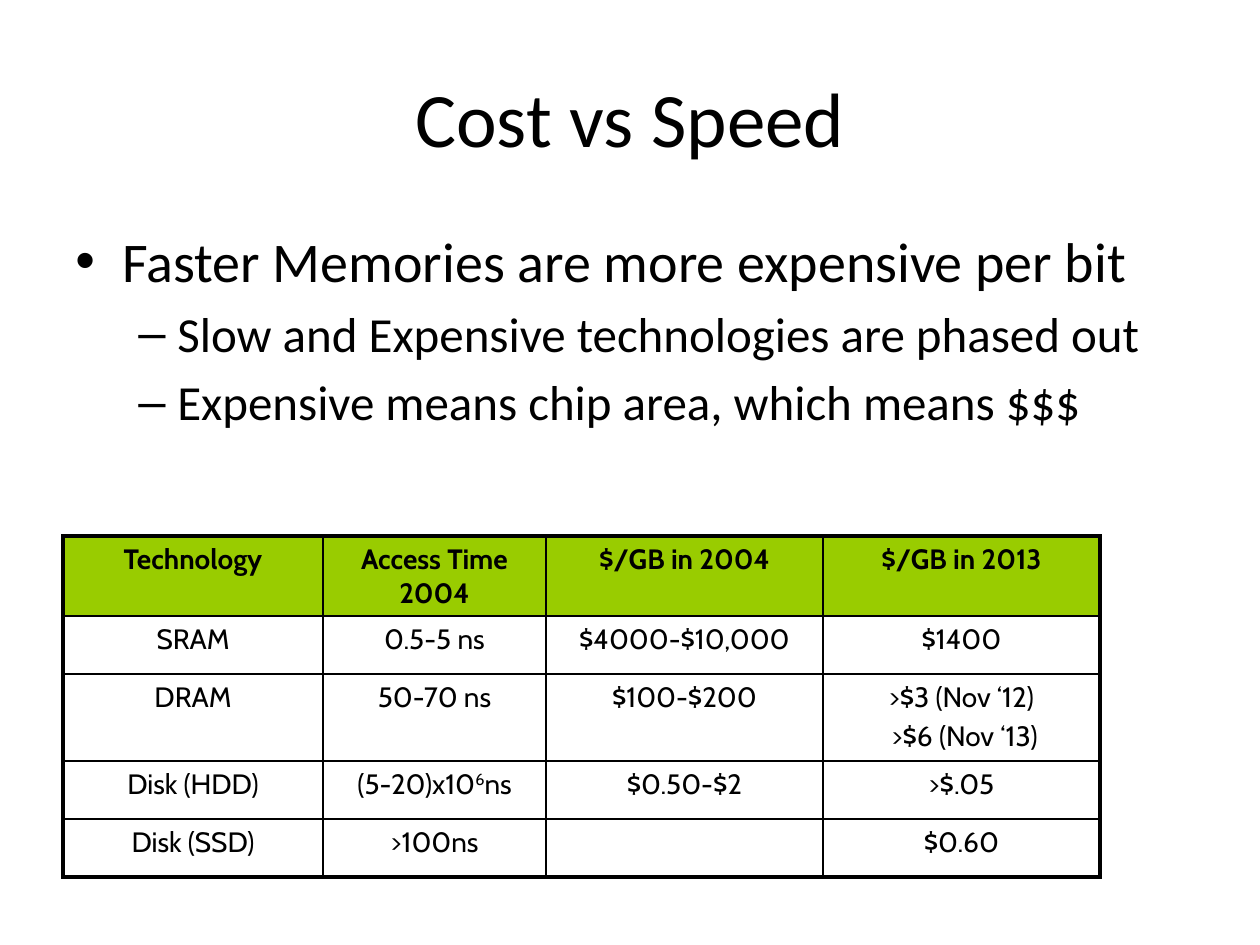
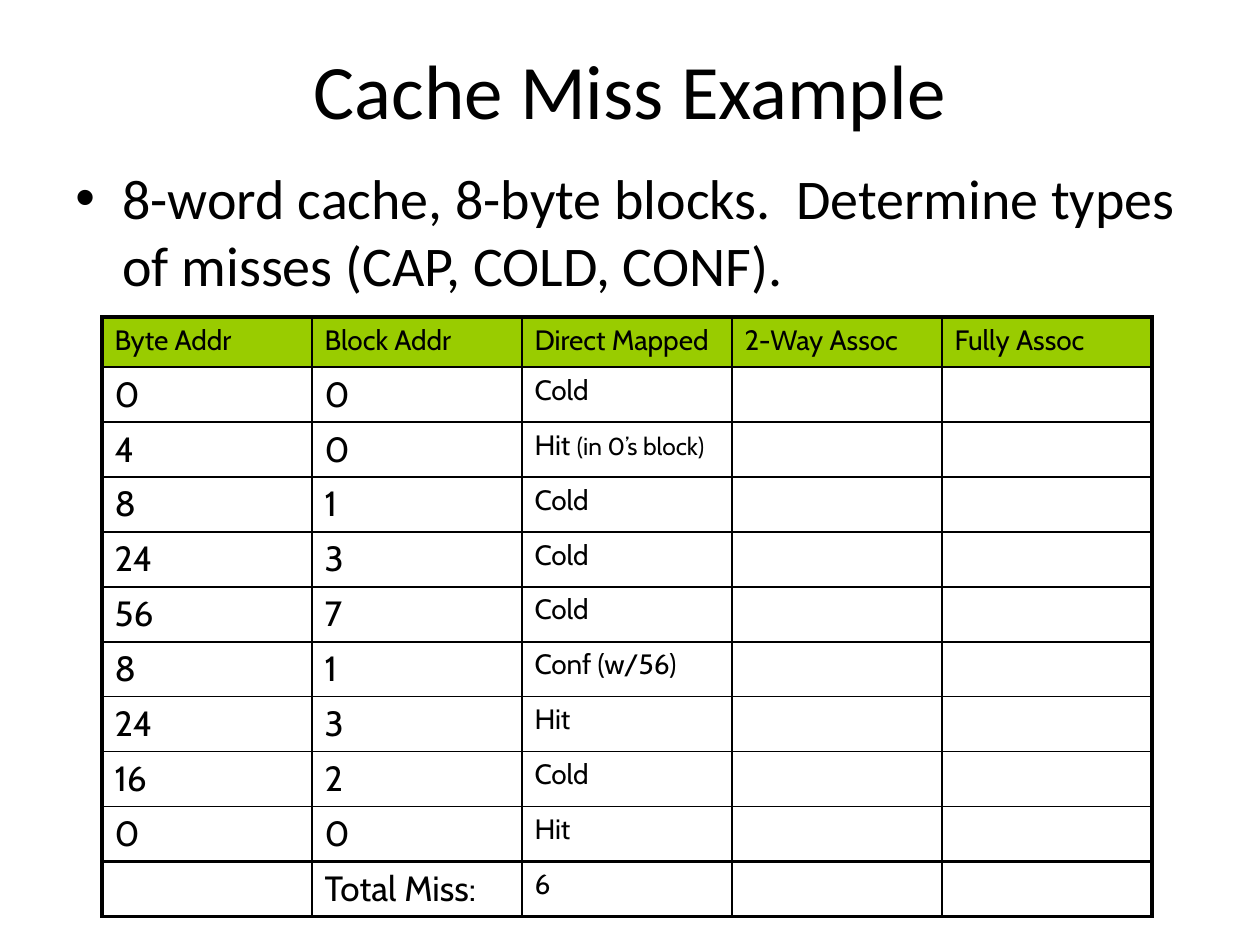
"""Build two slides on memory cost and cache misses, each with a title, bullets and a table."""
from lxml.etree import SubElement
from pptx import Presentation
from pptx.dml.color import RGBColor
from pptx.enum.text import MSO_ANCHOR, PP_ALIGN
from pptx.oxml.ns import qn
from pptx.util import Pt

SCALE = 914400 / 126
COLORS = {"ink": "000000", "header": "99CC00"}
INK = RGBColor.from_string(COLORS["ink"])
HEADER = RGBColor.from_string(COLORS["header"])
BULLETS = [("•", 47, 47, 32), ("–", 102, 39, 28)]
THIN, THICK = Pt(1), Pt(2.25)


def px(length):
    return round(length * SCALE)


def add_border(cell, side, width):
    line = SubElement(cell._tc.get_or_add_tcPr(), qn(f"a:{side}"), w=str(width))
    fill = SubElement(line, qn("a:solidFill"))
    SubElement(fill, qn("a:srgbClr"), val=COLORS["ink"])


contents = [
    {
        "title": "Cost vs Speed",
        "title_top": 38,
        "body_top": 220,
        "bullets": [
            (0, "Faster Memories are more expensive per bit"),
            (1, "Slow and Expensive technologies are phased out"),
            (1, "Expensive means chip area, which means $$$"),
        ],
        "table_at": (63, 536),
        "columns": [260, 223, 277, 277],
        "heights": [80, 58, 87, 58, 58],
        "thick_edges": {0, 5},
        "alignment": PP_ALIGN.CENTER,
        "bold_header": True,
        "sizes": [16, 16, 16, 16],
        "rows": [
            ["Technology", "Access Time 2004", "$/GB in 2004", "$/GB in 2013"],
            ["SRAM", "0.5-5 ns", "$4000-$10,000", "$1400"],
            ["DRAM", "50-70 ns", "$100-$200", ">$3 (Nov ‘12)\n >$6 (Nov ‘13)"],
            ["Disk (HDD)", "(5-20)x10", "$0.50-$2", ">$.05"],
            ["Disk (SSD)", ">100ns", "", "$0.60"],
        ],
    },
    {
        "title": "Cache Miss Example",
        "title_top": 10,
        "body_top": 157,
        "bullets": [
            (0, "8-word cache, 8-byte blocks.  Determine types of misses (CAP, COLD, CONF)."),
        ],
        "table_at": (102, 317),
        "columns": [210] * 5,
        "heights": [50] + [55] * 10,
        "thick_edges": {0, 10, 11},
        "alignment": PP_ALIGN.LEFT,
        "bold_header": False,
        "sizes": [20, 20, 16, 16, 16],
        "rows": [
            ["Byte Addr", "Block Addr", "Direct Mapped", "2-Way Assoc", "Fully Assoc"],
            ["0", "0", "Cold", "", ""],
            ["4", "0", "Hit ", "", ""],
            ["8", "1", "Cold", "", ""],
            ["24", "3", "Cold", "", ""],
            ["56", "7", "Cold", "", ""],
            ["8", "1", "Conf (w/56)", "", ""],
            ["24", "3", "Hit", "", ""],
            ["16", "2", "Cold", "", ""],
            ["0", "0", "Hit", "", ""],
            ["", "Total Miss:", "6", "", ""],
        ],
    },
]

presentation = Presentation()
presentation.slide_width = px(1260)
presentation.slide_height = px(945)
tables = []

for content in contents:
    slide = presentation.slides.add_slide(presentation.slide_layouts[5])
    title = slide.shapes.title
    title.left, title.top = px(63), px(content["title_top"])
    title.width, title.height = px(1134), px(158)
    title.text_frame.text = content["title"]
    title.text_frame.vertical_anchor = MSO_ANCHOR.MIDDLE
    paragraph = title.text_frame.paragraphs[0]
    paragraph.alignment = PP_ALIGN.CENTER
    paragraph.font.name, paragraph.font.size = "Calibri", Pt(44)
    paragraph.font.color.rgb = INK

    body = slide.shapes.add_textbox(px(63), px(content["body_top"]), px(1134), px(624))
    body.text_frame.word_wrap = True
    body.text_frame.text = "\n".join(text for level, text in content["bullets"])
    for index, (level, text) in enumerate(content["bullets"]):
        mark, margin, hanging, size = BULLETS[level]
        paragraph = body.text_frame.paragraphs[index]
        paragraph.level = level
        if index:
            paragraph.space_before = Pt(size * 0.2)
        properties = paragraph._p.get_or_add_pPr()
        properties.set("marL", str(px(margin)))
        properties.set("indent", str(-px(hanging)))
        SubElement(properties, qn("a:buFont"), typeface="Arial")
        SubElement(properties, qn("a:buChar"), char=mark)
        paragraph.font.name, paragraph.font.size = "Calibri", Pt(size)
        paragraph.font.color.rgb = INK

    rows, columns, heights = content["rows"], content["columns"], content["heights"]
    left, top = content["table_at"]
    table = slide.shapes.add_table(
        len(rows), len(columns), px(left), px(top), px(sum(columns)), px(sum(heights))
    ).table
    table.first_row = table.horz_banding = False
    tables.append(table)
    for column, width in zip(table.columns, columns):
        column.width = px(width)
    for row, height in zip(table.rows, heights):
        row.height = px(height)

    for row_index, row in enumerate(rows):
        for column_index, text in enumerate(row):
            cell = table.cell(row_index, column_index)
            cell.text = text
            thick_sides = {
                "lnL": column_index == 0,
                "lnR": column_index == len(columns) - 1,
                "lnT": row_index in content["thick_edges"],
                "lnB": row_index + 1 in content["thick_edges"],
            }
            for side, thick in thick_sides.items():
                add_border(cell, side, THICK if thick else THIN)
            if row_index == 0:
                cell.fill.solid()
                cell.fill.fore_color.rgb = HEADER
            else:
                cell.fill.background()
            size = content["sizes"][column_index] if row_index else 16
            for index, paragraph in enumerate(cell.text_frame.paragraphs):
                paragraph.alignment = content["alignment"]
                if index:
                    paragraph.space_before = Pt(size * 0.2)
                paragraph.font.name, paragraph.font.size = "Cabin", Pt(size)
                paragraph.font.bold = content["bold_header"] and row_index == 0
                paragraph.font.color.rgb = INK

cost_table, miss_table = tables
disk_time = cost_table.cell(3, 1).text_frame.paragraphs[0]
exponent = disk_time.add_run()
exponent.text = "6"
exponent._r.get_or_add_rPr().set("baseline", "30000")
disk_time.add_run().text = "ns"

hit_note = miss_table.cell(2, 2).text_frame.paragraphs[0].add_run()
hit_note.text = "(in 0’s block)"
hit_note.font.size = Pt(14)

presentation.save("out.pptx")
